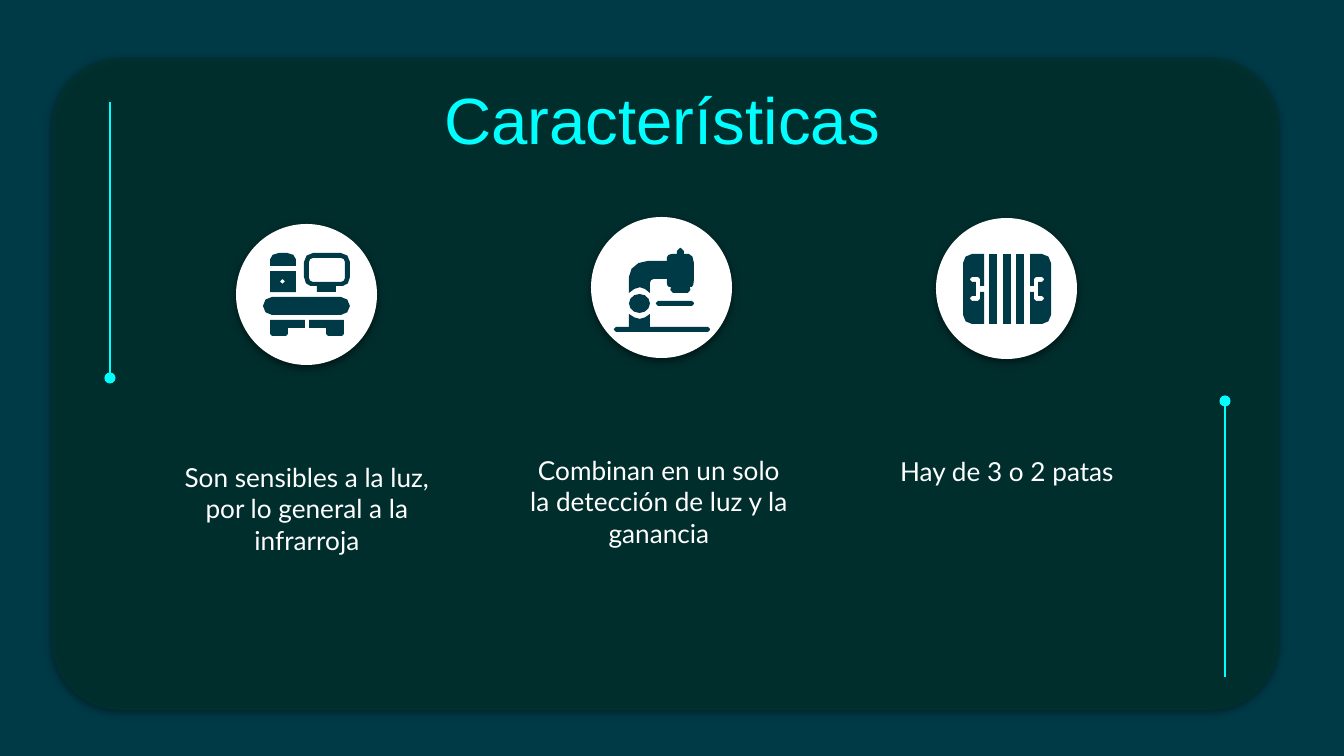
from lxml.etree import SubElement
from pptx import Presentation
from pptx.dml.color import RGBColor
from pptx.enum.shapes import MSO_CONNECTOR, MSO_SHAPE
from pptx.enum.text import MSO_ANCHOR, PP_ALIGN
from pptx.oxml.ns import qn
from pptx.util import Pt

PX = 914400 / 134.4
NAVY, PANEL, CYAN, WHITE = "003A47", "00312E", "00FFFF", "FFFFFF"
CIRCLE, CAPTION_W, CAPTION_H, CAPTION_DROP = 141, 292, 132, 224


def rect(l, t, r, b, top=0, bottom=0):
    return [(l, t, top), (r, t, top), (r, b, bottom), (l, b, bottom)]


def mirror(points, total):
    return [(total - x, y, r) for x, y, r in points]


FOOT = [(309, 320, 0), (344, 320, 0), (344, 336, 2), (326, 336, 2),
        (326, 328, 0), (309, 328, 0)]
MONITOR = [(304, 253, 9), (350, 253, 9), (350, 286, 9), (336, 286, 0),
           (336, 292, 0), (317, 292, 0), (317, 286, 0), (304, 286, 9)]
DOOR = [(984, 254, 0), (963, 254, 9), (963, 324, 9), (984, 324, 0),
        (984, 292, 0), (980, 292, 0), (980, 301, 2), (970, 301, 2),
        (970, 296, 2), (976, 296, 0), (976, 282, 0), (970, 282, 2),
        (970, 277, 2), (980, 277, 2), (980, 286, 0), (984, 286, 0)]
ARM = [(677, 248, 3), (684, 248, 3), (684, 254, 0), (694, 254, 9),
       (694, 287, 7), (690, 287, 0), (691, 293, 3), (670, 293, 3),
       (671, 287, 0), (667, 287, 7), (667, 279, 0), (650, 279, 4),
       (650, 293, 0), (640, 285, 8), (629, 293, 0), (629, 261, 24),
       (667, 261, 0), (667, 254, 9), (677, 254, 0)]
BASE = [(629, 314, 0), (640, 321, 8), (650, 314, 0), (650, 327, 0),
        (710, 327, 2), (710, 332, 2), (614, 332, 2), (614, 327, 2), (629, 327, 0)]

BED_ICON = [
    [rect(270, 253, 296, 266, top=9)],
    [rect(270, 271, 296, 292), rect(280, 279, 285, 284, 3, 3)],
    [FOOT], [mirror(FOOT, 614)],
    [rect(263, 297, 350, 315, 9, 9)],
    [MONITOR, rect(309, 258, 345, 282, 4, 4)],
]
ARM_ICON = [[ARM], [rect(629, 294, 650, 313, 11, 11)], [BASE],
            [rect(656, 301, 694, 306, 2, 2)]]
DOOR_ICON = [[rect(x, 254, x + 8, 324)] for x in (989, 1003, 1016)]
DOOR_ICON += [[DOOR], [mirror(DOOR, 2014)]]

FEATURES = [
    (236, 224, 161, "Son sensibles a la luz, por lo general a la infrarroja", BED_ICON),
    (591, 217, 513, "Combinan en un solo la detección de luz y la ganancia", ARM_ICON),
    (936, 218, 861, "Hay de 3 o 2 patas", DOOR_ICON),
]
RULES = [(110, 378, 102), (1225, 401, 677)]


def px(*values):
    return [round(v * PX) for v in values]


def rgb(color):
    return RGBColor.from_string(color)


def paint(sp, color):
    sp.shadow.inherit = False
    sp.fill.solid()
    sp.fill.fore_color.rgb = rgb(color)
    sp.line.fill.background()


def add_shadowed(s, kind, box, color):
    sp = s.shapes.add_shape(kind, *px(*box))
    paint(sp, color)
    effects = sp.element.spPr.find(qn("a:effectLst"))
    shadow = SubElement(effects, qn("a:outerShdw"), blurRad=str(Pt(4.5)),
                        dist=str(Pt(1.5)), dir="5400000", algn="bl", rotWithShape="0")
    black = SubElement(shadow, qn("a:srgbClr"), val="000000")
    SubElement(black, qn("a:alpha"), val="50000")
    return sp


def add_text(s, box, text, font, size, color):
    tf = s.shapes.add_textbox(*px(*box)).text_frame
    tf.word_wrap = True
    tf.vertical_anchor = MSO_ANCHOR.TOP
    tf.margin_left = tf.margin_right = tf.margin_top = tf.margin_bottom = Pt(7.2)
    p = tf.paragraphs[0]
    p.alignment = PP_ALIGN.CENTER
    r = p.add_run()
    r.text = text
    r.font.name, r.font.size, r.font.color.rgb = font, Pt(size), rgb(color)


def toward(a, b, dist):
    length = ((b[0] - a[0]) ** 2 + (b[1] - a[1]) ** 2) ** 0.5
    part = min(dist / length, 0.5)
    return a[0] + (b[0] - a[0]) * part, a[1] + (b[1] - a[1]) * part


def outline(points):
    result = []
    for i, (x, y, radius) in enumerate(points):
        if not radius:
            result.append((x, y))
            continue
        start = toward((x, y), points[i - 1], radius)
        end = toward((x, y), points[(i + 1) % len(points)], radius)
        steps = 1 if radius < 4 else 2 if radius < 10 else 3
        for k in range(steps + 1):
            t = k / steps
            u = 1 - t
            result.append(tuple(
                a * (u ** 3 + 1.35 * u * u * t) + b * (t ** 3 + 1.35 * u * t * t)
                + c * 1.65 * u * t
                for a, b, c in zip(start, end, (x, y))))
    return list(dict.fromkeys(result))


def add_part(group, contours):
    first, *holes = [[px(*point) for point in outline(c)] for c in contours]
    builder = group.shapes.build_freeform(*first[0], scale=1.0)
    builder.add_line_segments(first[1:], close=True)
    for hole in holes:
        builder.move_to(*hole[0])
        builder.add_line_segments(hole[1:], close=True)
    paint(builder.convert_to_shape(), NAVY)


def add_rule(s, x, y1, y2):
    line = s.shapes.add_connector(MSO_CONNECTOR.STRAIGHT, *px(x, y1, x, y2))
    line.line.color.rgb = rgb(CYAN)
    line.line.width = Pt(0.75)
    SubElement(line.element.spPr.find(qn("a:ln")), qn("a:headEnd"), type="oval")
    SubElement(line.element.spPr, qn("a:effectLst"))


def main():
    prs = Presentation()
    prs.slide_width, prs.slide_height = px(1344, 756)
    s = prs.slides.add_slide(prs.slide_layouts[6])
    s.background.fill.solid()
    s.background.fill.fore_color.rgb = rgb(NAVY)

    panel = add_shadowed(s, MSO_SHAPE.ROUNDED_RECTANGLE, (52, 58, 1227, 652), PANEL)
    panel.adjustments[0] = 0.105
    tint = panel.element.spPr.find(qn("a:solidFill"))[0]
    SubElement(tint, qn("a:alpha"), val="85000")

    for x, y, *_ in FEATURES:
        add_shadowed(s, MSO_SHAPE.OVAL, (x, y, CIRCLE, CIRCLE), WHITE)
    add_text(s, (105, 66, 1133, 85), "Características ", "Arial", 35, CYAN)
    for _, y, x, caption, _ in FEATURES:
        add_text(s, (x, y + CAPTION_DROP, CAPTION_W, CAPTION_H),
                 caption, "Lato", 14, WHITE)
    for rule in RULES:
        add_rule(s, *rule)
    for *_, icon in FEATURES:
        group = s.shapes.add_group_shape()
        for contours in icon:
            add_part(group, contours)
    prs.save("out.pptx")


if __name__ == "__main__":
    main()
